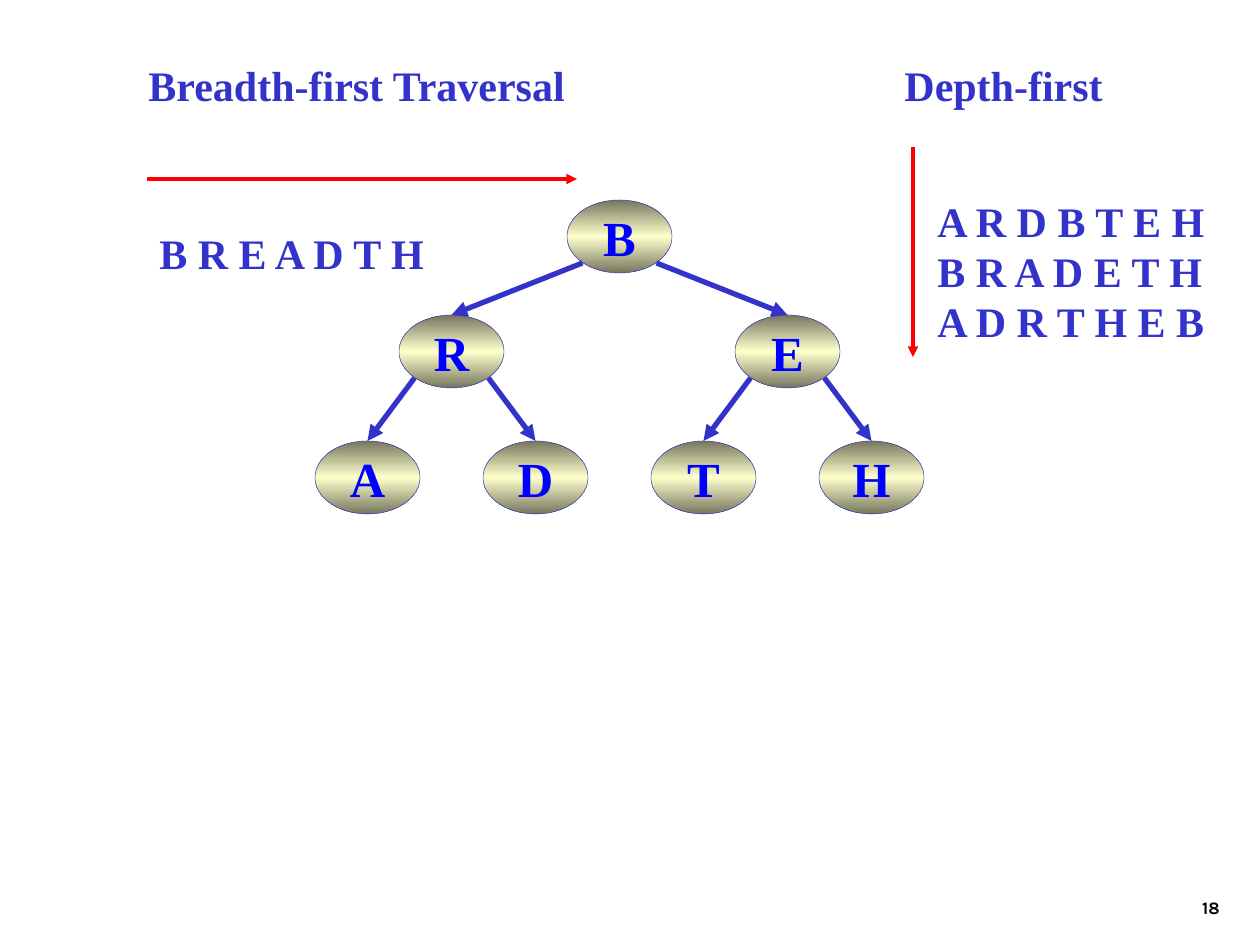
from copy import deepcopy
from lxml import etree
from pptx import Presentation
from pptx.dml.color import RGBColor
from pptx.enum.shapes import MSO_CONNECTOR, MSO_SHAPE
from pptx.enum.text import MSO_ANCHOR, PP_ALIGN
from pptx.oxml.ns import qn
from pptx.util import Emu, Pt

LINE, OVAL = MSO_CONNECTOR.STRAIGHT, MSO_SHAPE.OVAL
TOP, MID, LOW = MSO_ANCHOR.TOP, MSO_ANCHOR.MIDDLE, MSO_ANCHOR.BOTTOM
LEFT, MIDST, RIGHT = PP_ALIGN.LEFT, PP_ALIGN.CENTER, PP_ALIGN.RIGHT
SCALE = 914400 / 126
COLORS = {"ink": "3333CC", "node": "0000FF", "red": "FF0000",
          "black": "000000", "dark": "76765E", "light": "FFFFCC"}
SERIF = "Times New Roman"


def px(num):
    return Emu(round(num * SCALE))


def rgb(name):
    return RGBColor.from_string(COLORS[name])


def write(frame, text, size=24, font=SERIF, color="ink", align=LEFT,
          anchor=TOP, wrap=False, indent=0, lead=1.2):
    frame.word_wrap = wrap
    frame.vertical_anchor = anchor
    frame.margin_left = frame.margin_right = Pt(7.2)
    frame.margin_top = frame.margin_bottom = Pt(3.6)
    frame.text = text
    for para in frame.paragraphs:
        para.alignment = align
        if indent:
            para.level = 1
            props = para._p.get_or_add_pPr()
            props.set("marL", str(px(indent)))
            props.set("indent", "0")
        if lead:
            para.line_spacing = Pt(size * lead)
        style = para.runs[0].font
        style.size, style.name, style.bold = Pt(size), font, True
        style.color.rgb = rgb(color)


class Board:
    def __init__(self, slide):
        self.slide = slide
        self.shapes = slide.shapes

    def group(self):
        self.shapes = self.slide.shapes.add_group_shape().shapes

    def label(self, text, x, y, w, h, **form):
        box = self.shapes.add_textbox(px(x), px(y), px(w), px(h))
        write(box.text_frame, text, **form)

    def arrow(self, x1, y1, x2, y2, color="ink", width=3):
        link = self.shapes.add_connector(LINE, px(x1), px(y1), px(x2), px(y2))
        link.line.color.rgb = rgb(color)
        link.line.width = Pt(width)
        edge = link.line._get_or_add_ln()
        etree.SubElement(edge, qn("a:tailEnd"), type="triangle")
        etree.SubElement(link._element.spPr, qn("a:effectLst"))

    def node(self, text, x, y, w, h):
        oval = self.shapes.add_shape(OVAL, px(x), px(y), px(w), px(h))
        oval.shadow.inherit = False
        oval.line.color.rgb = rgb("ink")
        oval.line.width = Pt(0.25)
        oval.fill.gradient()
        oval.fill.gradient_angle = 90
        stops = oval._element.spPr.find(".//" + qn("a:gsLst"))
        stops.append(deepcopy(stops[-1]))
        shades = zip((0, 0.5, 1), ("dark", "light", "dark"))
        for stop, (pos, name) in zip(oval.fill.gradient_stops, shades):
            stop.position = pos
            stop.color.rgb = rgb(name)
        write(oval.text_frame, text, size=28, color="node", align=MIDST,
              anchor=MID)

    def tree(self, levels, tops, left, step, w, h):
        self.group()
        rows = []
        for depth, names in enumerate(levels):
            gap = step * 2 ** (len(levels) - 1 - depth)
            start = left + (gap - step) // 2
            rows.append([start + gap * i for i in range(len(names))])
            for name, x in zip(names, rows[-1]):
                self.node(name, x, tops[depth], w, h)
        mid, reach, drop = w / 2, 37, 63
        for depth, row in enumerate(rows[1:], 1):
            for i, x in enumerate(row):
                side = reach if i % 2 else -reach
                self.arrow(rows[depth - 1][i // 2] + mid + side,
                           tops[depth - 1] + drop, x + mid, tops[depth])


def main():
    deck = Presentation()
    deck.slide_width, deck.slide_height = px(1260), px(945)
    board = Board(deck.slides.add_slide(deck.slide_layouts[6]))
    board.label("18", 970, 861, 262, 63, size=10, font="Karla", color="black",
                align=RIGHT, anchor=LOW, wrap=True, lead=None)
    board.label("Breadth-first Traversal", 73, 53, 588, 63, wrap=True,
                indent=63)
    board.label("Depth-first", 829, 53, 336, 63, wrap=True, indent=63)
    board.arrow(147, 179, 577, 179, color="red", width=2)
    board.arrow(913, 147, 913, 357, color="red", width=2)
    board.label("B R E A D T H", 147, 221, 296, 63)
    board.label("A R D B T E H\nB R A D E T H\nA D R T H E B",
                925, 189, 296, 164)
    board.tree(("B", "RE", "ADTH"), (200, 315, 441), left=315, step=168,
               w=105, h=73)
    deck.save("out.pptx")


if __name__ == "__main__":
    main()
